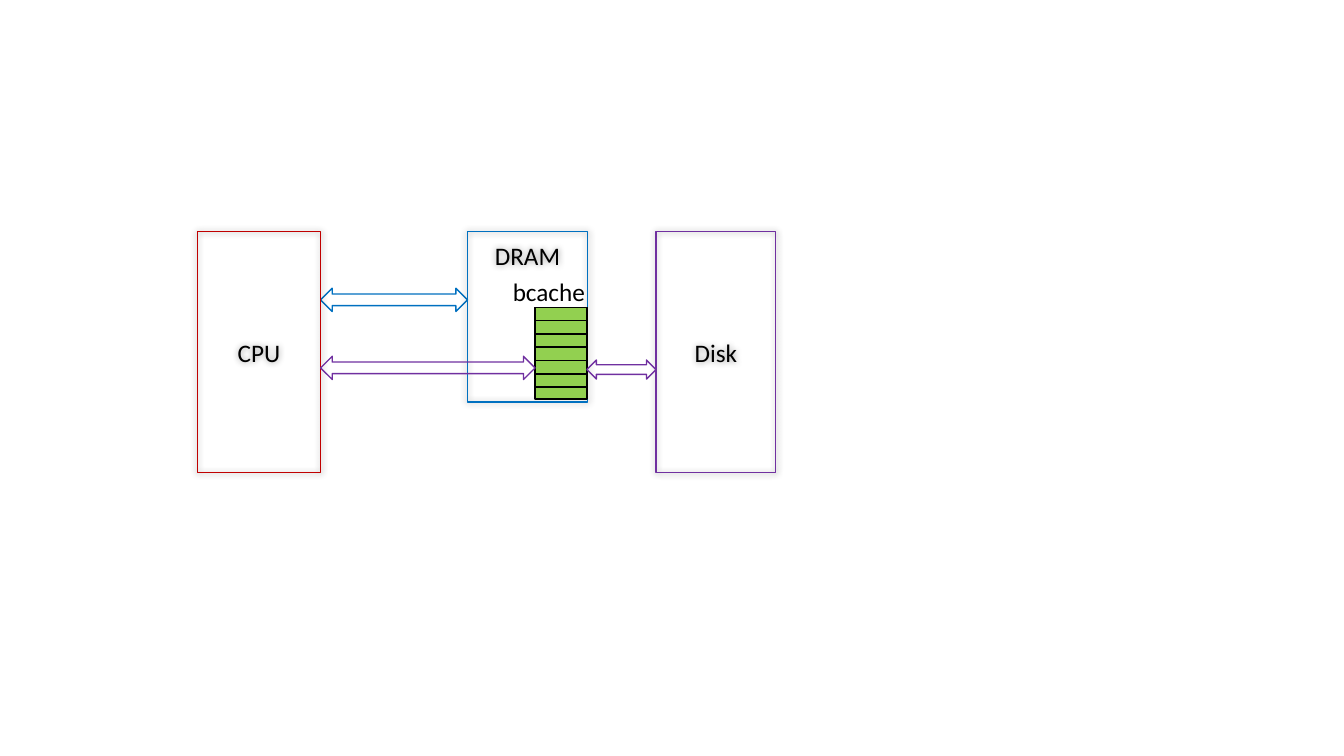
from lxml import etree
from pptx import Presentation
from pptx.dml.color import RGBColor
from pptx.enum import shapes as sh, text as tx
from pptx.oxml import ns
from pptx.util import Pt

BLACK, RED, BLUE, PURPLE, GREEN = "000000", "C00000", "0070C0", "7030A0", "92D050"
RECT, ARROW = sh.MSO_SHAPE.RECTANGLE, sh.MSO_SHAPE.LEFT_RIGHT_ARROW
TOP, MID = tx.MSO_ANCHOR.TOP, tx.MSO_ANCHOR.MIDDLE


def rgb(code):
    """Turn a hex string into a colour."""
    return RGBColor.from_string(code)


def apply(item, form):
    """Set each attribute named in a dict."""
    for name, value in form.items():
        setattr(item, name, value)


def outline(tree, kind, box, line, fill=None):
    """Draw a preset shape with a thin outline."""
    shape = tree.add_shape(kind, *map(Pt, box))
    shape.shadow.inherit = False
    shape.line.color.rgb = rgb(line)
    shape.line.width = Pt(1)
    if fill:
        shape.fill.solid()
        shape.fill.fore_color.rgb = rgb(fill)
    else:
        shape.fill.background()
    return shape


def glow(shape):
    """Give a shape a soft, centred shadow."""
    effects = shape._element.spPr.find(ns.qn("a:effectLst"))
    shade = etree.SubElement(effects, ns.qn("a:outerShdw"), blurRad=str(Pt(5)),
                             dist="0", dir="0", algn="ctr", rotWithShape="0")
    tint = etree.SubElement(shade, ns.qn("a:srgbClr"), val=BLACK)
    etree.SubElement(tint, ns.qn("a:alpha"), val="40000")


def write(frame, words, align):
    """Write one line of label text."""
    para = frame.paragraphs[0]
    para.alignment = align
    run = para.add_run()
    run.text = words
    apply(run.font, {"name": "Calibri", "size": Pt(18)})
    run.font.color.rgb = rgb(BLACK)


def unit(tree, box, name, line, anchor=MID):
    """Draw a named hardware unit."""
    shape = outline(tree, RECT, box, line)
    glow(shape)
    frame = shape.text_frame
    apply(frame, {"word_wrap": True, "vertical_anchor": anchor})
    if anchor == TOP:
        frame.margin_top = Pt(5.9)
    write(frame, name, tx.PP_ALIGN.CENTER)


def cache(tree, box):
    """Draw the block cache as a stack of rows with a label above."""
    left, top, wide, high = box
    group = tree.add_group_shape().shapes
    outline(group, RECT, box, BLACK, GREEN)
    for row in range(6):
        outline(group, RECT, (left, top + 9.5 * row, wide, 9.3), BLACK, GREEN)
    label = group.add_textbox(*map(Pt, (left - 23, top - 26, 67, 29)))
    apply(label.text_frame, {"word_wrap": False,
                             "auto_size": tx.MSO_AUTO_SIZE.SHAPE_TO_FIT_TEXT})
    write(label.text_frame, "bcache", tx.PP_ALIGN.LEFT)


def link(tree, start, end, mid, high, line):
    """Draw a two-way arrow between two edges."""
    outline(tree, ARROW, (start, mid - high / 2, end - start, high), line)


def diagram(tree, left, top):
    """Place the processor, memory, cache and disk with their links."""
    cpu, dram, store, edge, disk = (left + x for x in (88, 193, 241.2, 278.2, 327.6))
    link(tree, cpu, dram, top + 48.6, 16.6, BLUE)
    unit(tree, (left, top, 88, 172), "CPU", RED)
    unit(tree, (dram, top, 85.6, 121.6), "DRAM", BLUE, TOP)
    unit(tree, (disk, top, 85.6, 172), "Disk", PURPLE)
    cache(tree, (store, top + 54, 37, 65.6))
    link(tree, edge, disk, top + 98.4, 13.6, PURPLE)
    link(tree, cpu, store, top + 97.2, 16.6, PURPLE)


def main():
    """Build and save the slide."""
    deck = Presentation()
    apply(deck, {"slide_width": Pt(960), "slide_height": Pt(540)})
    slide = deck.slides.add_slide(deck.slide_layouts[6])
    diagram(slide.shapes, 141, 165.6)
    deck.save("out.pptx")


if __name__ == "__main__":
    main()
